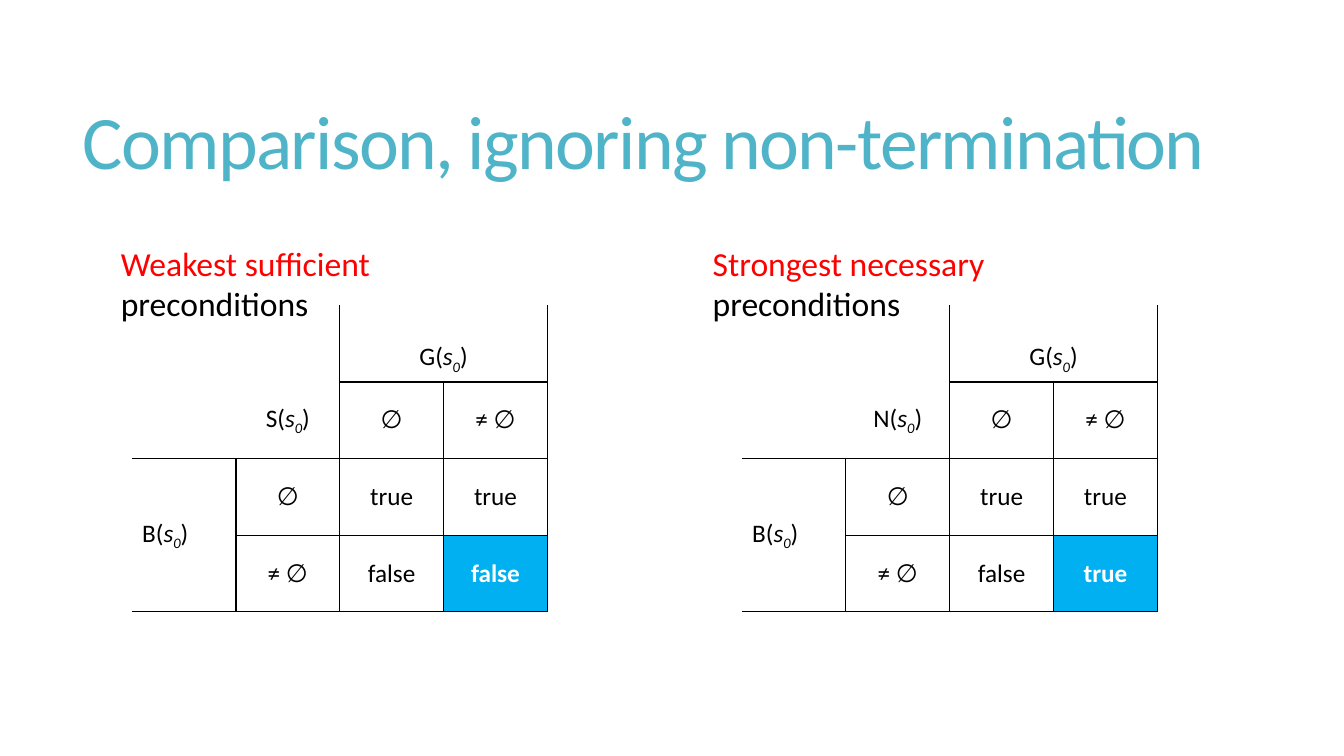
from dataclasses import dataclass
from lxml.etree import SubElement
from pptx import Presentation
from pptx.dml.color import RGBColor
from pptx.enum.text import MSO_ANCHOR as Anchor, PP_ALIGN as Align
from pptx.oxml.ns import qn
from pptx.util import Inches, Pt


@dataclass
class Theme:
    font: str = "Calibri"
    teal: str = "50B4C8"
    red: str = "FF0000"
    black: str = "000000"
    white: str = "FFFFFF"
    blue: str = "00B0F0"
    title: int = 54
    heading: int = 24
    cell: int = 18


theme = Theme()


def add_span(para, text, size, color, bold=False, italic=False, **attributes):
    span = para.add_run()
    span.text = text
    span.font.name = theme.font
    span.font.size = Pt(size)
    span.font.color.rgb = RGBColor.from_string(color)
    span.font.bold = bold
    span.font.italic = italic
    for name, value in attributes.items():
        span._r.get_or_add_rPr().set(name, value)


def set_borders(cell, sides):
    properties = cell._tc.get_or_add_tcPr()
    for side in "LRTB":
        line = SubElement(properties, qn(f"a:ln{side}"), w=str(Pt(1)))
        if side in sides:
            fill = SubElement(line, qn("a:solidFill"))
            SubElement(fill, qn("a:srgbClr"), val=theme.black)
        else:
            SubElement(line, qn("a:noFill"))


deck = Presentation()
deck.slide_width, deck.slide_height = Inches(13.33), Inches(7.5)
page = deck.slides.add_slide(deck.slide_layouts[6])

box = page.shapes.add_textbox(Inches(0.72), Inches(0.55), Inches(11.78), Inches(1.81))
box.text_frame.word_wrap = True
box.text_frame.vertical_anchor = Anchor.MIDDLE
para = box.text_frame.paragraphs[0]
para.line_spacing = 0.85
add_span(para, "Comparison, ignoring non-termination", theme.title, theme.teal, spc="-120")

borders = [
    ["", "R", "LRB", "RB"],
    ["B", "RB", "LRTB", "LRTB"],
    ["TRB", "LRTB", "LRTB", "LRTB"],
    ["RB", "LRTB", "LRTB", "LRTB"],
]
comparisons = [
    ("Weakest sufficient", 1.1, 4.6, 1.31, "S", "false"),
    ("Strongest necessary", 6.97, 4.83, 7.36, "N", "true"),
]
for kind, heading_left, heading_width, table_left, condition, outcome in comparisons:
    frame = page.shapes.add_table(4, 4, Inches(table_left), Inches(3.03), Inches(4.11), Inches(3.04))
    table = frame.table
    table.first_row = table.horz_banding = False
    for column in table.columns:
        column.width = Inches(1.03)
    for row in table.rows:
        row.height = Inches(0.76)
    table.cell(0, 2).merge(table.cell(0, 3))
    table.cell(2, 0).merge(table.cell(3, 0))

    values = [
        ["", "", "G", ""],
        ["", condition, "∅", "≠ ∅"],
        ["B", "∅", "true", "true"],
        ["", "≠ ∅", "false", outcome],
    ]
    for row, texts in enumerate(values):
        for column, text in enumerate(texts):
            cell = table.cell(row, column)
            set_borders(cell, borders[row][column])
            cell.vertical_anchor = Anchor.MIDDLE
            highlighted = (row, column) == (3, 3)
            if highlighted:
                cell.fill.solid()
                cell.fill.fore_color.rgb = RGBColor.from_string(theme.blue)
            else:
                cell.fill.background()
            para = cell.text_frame.paragraphs[0]
            para.alignment = Align.LEFT if column == 0 else Align.CENTER
            if len(text) == 1 and text.isalpha():
                add_span(para, f"{text}(", theme.cell, theme.black)
                add_span(para, "s", theme.cell, theme.black, italic=True)
                add_span(para, "0", theme.cell, theme.black, italic=True, baseline="-25000")
                add_span(para, ")", theme.cell, theme.black)
            elif text:
                color = theme.white if highlighted else theme.black
                add_span(para, text, theme.cell, color, bold=highlighted)
    table.cell(0, 2).margin_top = Inches(0.35)

    box = page.shapes.add_textbox(Inches(heading_left), Inches(2.36), Inches(heading_width), Inches(0.5))
    box.text_frame.word_wrap = True
    box.text_frame.margin_right = Inches(0.3)
    para = box.text_frame.paragraphs[0]
    add_span(para, f"{kind} ", theme.heading, theme.red)
    add_span(para, "preconditions", theme.heading, theme.black)

deck.save("out.pptx")
